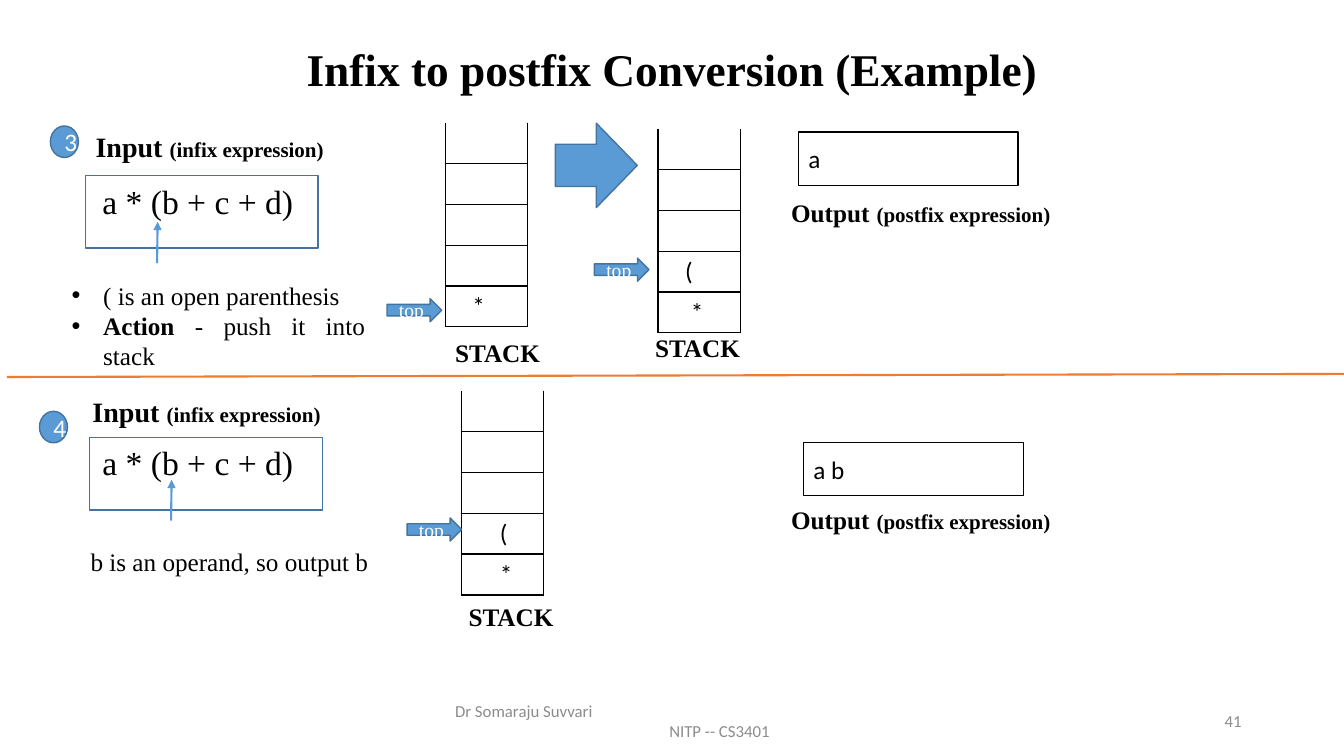
from lxml import etree
from pptx import Presentation
from pptx.dml.color import RGBColor
from pptx.enum.shapes import MSO_CONNECTOR, MSO_SHAPE
from pptx.enum.text import MSO_ANCHOR, MSO_AUTO_SIZE, PP_ALIGN
from pptx.oxml.ns import qn
from pptx.util import Pt

RECTANGLE, ARROW, CIRCLE = MSO_SHAPE.RECTANGLE, MSO_SHAPE.RIGHT_ARROW, MSO_SHAPE.FLOWCHART_CONNECTOR
STRAIGHT = MSO_CONNECTOR.STRAIGHT
LEFT, CENTER, RIGHT, JUSTIFY = PP_ALIGN.LEFT, PP_ALIGN.CENTER, PP_ALIGN.RIGHT, PP_ALIGN.JUSTIFY
TOP, MIDDLE = MSO_ANCHOR.TOP, MSO_ANCHOR.MIDDLE
NO_AUTOFIT = MSO_AUTO_SIZE.NONE

BLACK, WHITE, GRAY = "000000", "FFFFFF", "8C8C8C"
BLUE, NAVY, ORANGE = "5B9BD5", "43739E", "ED7D31"
SERIF, SANS = "Times New Roman", "Calibri"
ROW_HEIGHT, STACK_WIDTH, STACK_ROWS = 29.16, 59, 6


def paint(fill, color):
    fill.solid()
    fill.fore_color.rgb = RGBColor.from_string(color)


def write(para, runs, align=LEFT, color=BLACK):
    para.alignment = align
    for text, name, size, bold in runs:
        span = para.add_run()
        span.text = text
        for key, value in {"name": name, "size": Pt(size), "bold": bold}.items():
            setattr(span.font, key, value)
        paint(span.font.fill, color)


deck = Presentation()
deck.slide_width, deck.slide_height = Pt(960), Pt(540)
page = deck.slides.add_slide(deck.slide_layouts[1])

title, actions = page.placeholders
for holder, place in ((title, (66, 29, 828, 45)), (actions, (44, 196.5, 224, 73))):
    holder.left, holder.top, holder.width, holder.height = map(Pt, place)
    holder.text_frame.auto_size = NO_AUTOFIT
title.text_frame.vertical_anchor = MIDDLE
heading = title.text_frame.paragraphs[0]
heading.line_spacing = 0.9
write(heading, [("Infix to postfix Conversion (Example)", SERIF, 32.4, True)], CENTER)

bullets = [
    (LEFT, [("( is an open parenthesis", SERIF, 18, False)]),
    (JUSTIFY, [("Action", SERIF, 18, True), (" - push it into stack", SERIF, 18, False)]),
]
for index, (align, runs) in enumerate(bullets):
    frame = actions.text_frame
    para = frame.add_paragraph() if index else frame.paragraphs[0]
    para.space_before = Pt(0)
    write(para, runs, align)
    properties = para._p.get_or_add_pPr()
    properties.set("marL", str(Pt(22.5)))
    properties.set("indent", str(Pt(-22.5)))

stacks = [
    (318, 58.3, {5: ("*", 19.4)}),
    (470, 62.6, {4: ("(", 19.4), 5: ("*", 23.5)}),
    (329.5, 249.8, {4: ("(", 27.6), 5: ("*", 27.6)}),
]
for left, top, items in stacks:
    frame = page.shapes.add_table(
        STACK_ROWS, 1, Pt(left), Pt(top), Pt(STACK_WIDTH), Pt(ROW_HEIGHT * STACK_ROWS))
    stack = frame.table
    stack.first_row = stack.horz_banding = False
    for index in range(STACK_ROWS):
        stack.rows[index].height = Pt(ROW_HEIGHT)
        cell = stack.cell(index, 0)
        edges = ("", "LRB", "LRTB")[min(index, 2)]
        cell_properties = cell._tc.get_or_add_tcPr()
        for side in "LRTB":
            border = etree.SubElement(cell_properties, qn("a:ln" + side), w=str(Pt(1)))
            if side in edges:
                solid = etree.SubElement(border, qn("a:solidFill"))
                etree.SubElement(solid, qn("a:srgbClr"), val=BLACK)
            else:
                etree.SubElement(border, qn("a:noFill"))
        cell.fill.background()
        if index in items:
            symbol, margin = items[index]
            cell.margin_left = Pt(margin)
            write(cell.text_frame.paragraphs[0], [(symbol, SANS, 18, False)])

shapes = [
    (RECTANGLE, (61, 125.3, 166.3, 52), WHITE, NAVY, None),
    (RECTANGLE, (64, 312.5, 166.3, 52), WHITE, NAVY, None),
    (RECTANGLE, (570.3, 94.4, 157, 38), WHITE, BLACK, ("a", SANS, 18, False)),
    (RECTANGLE, (573.9, 316, 157, 38), WHITE, BLACK, ("a b", SANS, 18, False)),
    (CIRCLE, (36, 90, 20, 22.5), BLUE, NAVY, ("3", SANS, 18, False)),
    (CIRCLE, (28.2, 293.8, 20, 22.5), BLUE, NAVY, ("4", SANS, 18, False)),
    (ARROW, (396.7, 88, 58.5, 60.3), BLUE, NAVY, None),
]
for left, top in ((276.5, 213.3), (424.6, 184.4), (290.8, 370)):
    shapes.append((ARROW, (left, top, 39, 16.5), BLUE, NAVY, ("top", SERIF, 14, False)))
for kind, place, fill, outline, run in shapes:
    shape = page.shapes.add_shape(kind, *map(Pt, place))
    shape.shadow.inherit = False
    paint(shape.fill, fill)
    paint(shape.line.fill, outline)
    shape.line.width = Pt(1)
    if run:
        shape.text_frame.vertical_anchor = MIDDLE
        boxed = kind == RECTANGLE
        write(shape.text_frame.paragraphs[0], [run],
              LEFT if boxed else CENTER, BLACK if boxed else WHITE)

input_runs = [("Input ", SERIF, 20, True), ("(infix expression)", SERIF, 15, True)]
output_runs = [("Output", SERIF, 18, True), (" ", SERIF, 20, True),
               ("(postfix expression)", SERIF, 15, True)]
expression = [("a * (b + c + d)", SERIF, 24, False)]
stack_label = [("STACK", SERIF, 18, True)]
labels = [
    ((61.2, 88.6, 185, 31.5), input_runs),
    ((59, 278, 185, 31.5), input_runs),
    ((66, 126, 156, 36), expression),
    ((66, 312, 156, 36), expression),
    ((558, 135.4, 200, 31.5), output_runs),
    ((558, 355, 200, 31.5), output_runs),
    ((318, 237.6, 79, 29), stack_label),
    ((460.8, 234, 79, 29), stack_label),
    ((327.6, 426.2, 79, 29), stack_label),
    ((57.6, 386.6, 224, 29), [("b is an operand, so output b", SERIF, 18, False)]),
]
for place, runs in labels:
    box = page.shapes.add_textbox(*map(Pt, place))
    box.text_frame.word_wrap = True
    write(box.text_frame.paragraphs[0], runs)

footers = [
    ((318, 500.4, 324, 28.8), LEFT, [("Dr Somaraju Suvvari", 0), ("NITP -- CS3401", 153)]),
    ((678, 500.4, 216, 28.8), RIGHT, [("41", 0)]),
]
for place, align, lines in footers:
    box = page.shapes.add_textbox(*map(Pt, place))
    frame = box.text_frame
    frame.word_wrap = True
    frame.vertical_anchor = MIDDLE
    for index, (text, indent) in enumerate(lines):
        para = frame.add_paragraph() if index else frame.paragraphs[0]
        write(para, [(text, SANS, 12, False)], align, GRAY)
        para._p.get_or_add_pPr().set("marL", str(Pt(indent)))

lines = [
    ((112.2, 188, 112.6, 158.4), BLUE, True),
    ((122.2, 371.8, 122.6, 342.7), BLUE, True),
    ((5, 269.3, 960, 267.1), ORANGE, False),
]
for ends, color, pointed in lines:
    line = page.shapes.add_connector(STRAIGHT, *map(Pt, ends))
    paint(line.line.fill, color)
    line.line.width = Pt(1.5)
    if pointed:
        etree.SubElement(line.line._get_or_add_ln(), qn("a:tailEnd"), type="triangle")
    etree.SubElement(line._element.spPr, qn("a:effectLst"))

deck.save("out.pptx")
